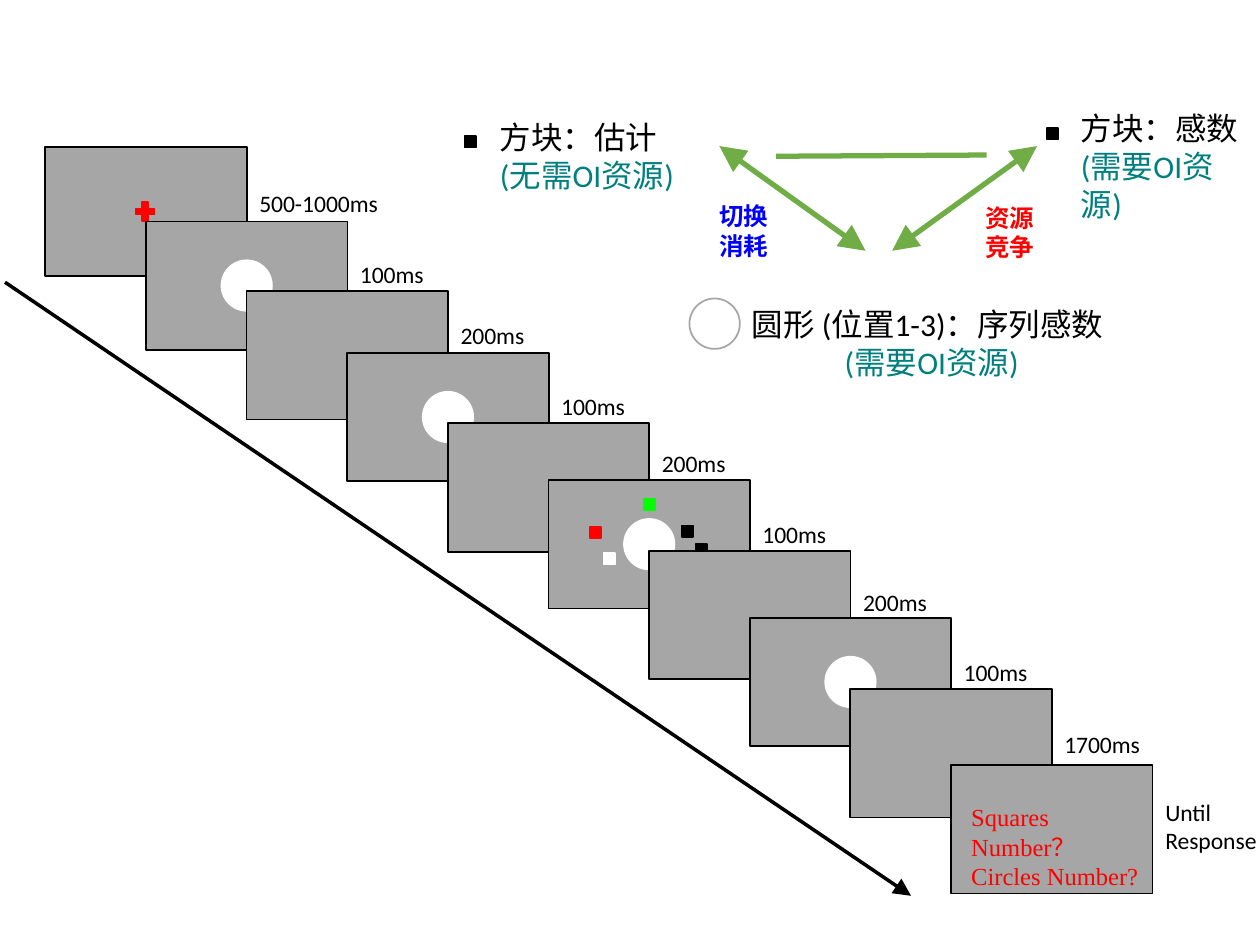
from typing import NamedTuple, Optional

from lxml import etree
from pptx import Presentation
from pptx.dml.color import RGBColor
from pptx.enum.shapes import MSO_CONNECTOR, MSO_SHAPE
from pptx.enum.text import MSO_AUTO_SIZE, PP_ALIGN
from pptx.oxml.ns import qn
from pptx.util import Pt

RECT = MSO_SHAPE.RECTANGLE
DISC = MSO_SHAPE.OVAL
PLUS = MSO_SHAPE.MATH_PLUS
LINE = MSO_CONNECTOR.STRAIGHT
FIT = MSO_AUTO_SIZE.SHAPE_TO_FIT_TEXT
LEFT, MID = PP_ALIGN.LEFT, PP_ALIGN.CENTER

HUES = {
    "black": "000000", "white": "FFFFFF", "gray": "A6A6A6", "red": "FF0000",
    "lime": "00FF00", "blue": "0000FF", "teal": "007F7F", "green": "70AD47",
}
FONTS = {
    "time": {"size": Pt(13.5), "name": "Calibri"},
    "ask": {"size": Pt(14), "name": "Times New Roman"},
    "cost": {"size": Pt(14), "name": "Times New Roman", "bold": True},
    "key": {"size": Pt(18), "name": "Calibri"},
}
WIDE, HIGH, STEP = 115.2, 73.4, 57.5
START = 25.9
SPOT, DOT = 28.8, 6.5


class Frame(NamedTuple):
    top: float
    mark: str
    label: str
    level: float


class Square(NamedTuple):
    x: float
    y: float
    hue: str


class Row(NamedTuple):
    text: str
    hue: str
    align: PP_ALIGN = LEFT


class Note(NamedTuple):
    x: float
    y: float
    w: float
    h: float
    font: str
    rows: list[Row]
    wrap: bool = True


class Arrow(NamedTuple):
    x1: float
    y1: float
    x2: float
    y2: float
    hue: str
    width: float
    ends: tuple[str, ...]


FRAMES = [
    Frame(84.2, "plus", "500-1000ms", 104.4),
    Frame(126.5, "disc", "100ms", 144.7),
    Frame(166.3, "", "200ms", 180),
    Frame(201.6, "disc", "100ms", 220.3),
    Frame(241.9, "", "200ms", 252.7),
    Frame(274.3, "array", "100ms", 293.8),
    Frame(314.8, "", "200ms", 332.6),
    Frame(353, "disc", "100ms", 372.2),
    Frame(393.8, "", "1700ms", 413.3),
    Frame(437.2, "", "", 0),
]
ARRAY = [
    Square(337, 301, "red"), Square(344.8, 316.1, "white"),
    Square(368, 285, "lime"), Square(389.5, 300.3, "black"),
    Square(397.4, 311, "black"),
]
KEYS = [Square(598.3, 73.2, "black"), Square(265.5, 77.8, "black")]
ARROWS = [
    Arrow(2.9, 161.3, 520.6, 511.9, "black", 2, ("tailEnd",)),
    Arrow(411.1, 83.5, 494.6, 143.3, "green", 3, ("headEnd", "tailEnd")),
    Arrow(443.5, 89.3, 563.8, 88.6, "green", 3, ()),
    Arrow(592.6, 83.5, 509.8, 143.3, "green", 3, ("headEnd", "tailEnd")),
]
NOTES = [
    Note(658.8, 452.2, 74.9, 40.3, "time", [Row("Until Response", "black")]),
    Note(547.9, 455, 111.6, 58.3, "ask",
         [Row("Squares Number？", "red"), Row("Circles Number?", "red")]),
    Note(555.8, 112.3, 42.5, 41, "cost",
         [Row("资源", "red", MID), Row("竞争", "red", MID)], False),
    Note(403.9, 111.6, 42.5, 41, "cost",
         [Row("切换", "blue", MID), Row("消耗", "blue", MID)], False),
    Note(422.6, 170.6, 219.6, 51.1, "key",
         [Row("圆形 (位置1-3)：序列感数", "black"), Row("(需要OI资源)", "teal", MID)]),
    Note(610.6, 59, 112.3, 51.1, "key",
         [Row("方块：感数", "black"), Row("(需要OI资源)", "teal")]),
    Note(278.6, 64.1, 133.2, 51.1, "key",
         [Row("方块：估计", "black"), Row("(无需OI资源)", "teal")]),
]


def tint(name: str) -> RGBColor:
    return RGBColor.from_string(HUES[name])


def add_form(slide, kind, x: float, y: float, w: float, h: float,
             fill: str, edge: Optional[str] = None) -> None:
    form = slide.shapes.add_shape(kind, Pt(x), Pt(y), Pt(w), Pt(h))
    form.shadow.inherit = False
    form.fill.solid()
    form.fill.fore_color.rgb = tint(fill)
    form.line.color.rgb = tint(edge or fill)
    form.line.width = Pt(1)


def add_dots(slide, dots: list[Square]) -> None:
    for dot in dots:
        add_form(slide, RECT, dot.x, dot.y, DOT, DOT, dot.hue)


def add_note(slide, note: Note) -> None:
    box = slide.shapes.add_textbox(Pt(note.x), Pt(note.y), Pt(note.w), Pt(note.h))
    body = box.text_frame
    body.word_wrap = note.wrap
    body.auto_size = FIT
    for i, row in enumerate(note.rows):
        para = body.add_paragraph() if i else body.paragraphs[0]
        para.alignment = row.align
        run = para.add_run()
        run.text = row.text
        for key, value in FONTS[note.font].items():
            setattr(run.font, key, value)
        run.font.color.rgb = tint(row.hue)


def add_arrow(slide, arrow: Arrow) -> None:
    link = slide.shapes.add_connector(
        LINE, Pt(arrow.x1), Pt(arrow.y1), Pt(arrow.x2), Pt(arrow.y2))
    link.line.color.rgb = tint(arrow.hue)
    link.line.width = Pt(arrow.width)
    stroke = link.line._get_or_add_ln()
    for end in arrow.ends:
        etree.SubElement(stroke, qn(f"a:{end}"), type="triangle", w="lg", len="lg")
    etree.SubElement(link._element.spPr, qn("a:effectLst"))


def add_frame(slide, rank: int, frame: Frame) -> None:
    x = START + STEP * rank
    add_form(slide, RECT, x, frame.top, WIDE, HIGH, "gray", "black")
    if frame.mark == "plus":
        add_form(slide, PLUS, x + 49.9, frame.top + 29.5, 14.4, 14.4, "red")
    elif frame.mark:
        add_form(slide, DISC, x + (WIDE - SPOT) / 2, frame.top + (HIGH - SPOT) / 2,
                 SPOT, SPOT, "white")
    if frame.mark == "array":
        add_dots(slide, ARRAY)
    if frame.label:
        add_note(slide, Note(x + WIDE, frame.level, 86.4, 23.8, "time",
                             [Row(frame.label, "black")]))


def main() -> None:
    deck = Presentation()
    deck.slide_width, deck.slide_height = Pt(720), Pt(540)
    slide = deck.slides.add_slide(deck.slide_layouts[6])
    for rank, frame in enumerate(FRAMES):
        add_frame(slide, rank, frame)
    for arrow in ARROWS:
        add_arrow(slide, arrow)
    add_form(slide, DISC, 394, 170.6, SPOT, SPOT, "white", "gray")
    add_dots(slide, KEYS)
    for note in NOTES:
        add_note(slide, note)
    deck.save("out.pptx")


if __name__ == "__main__":
    main()
